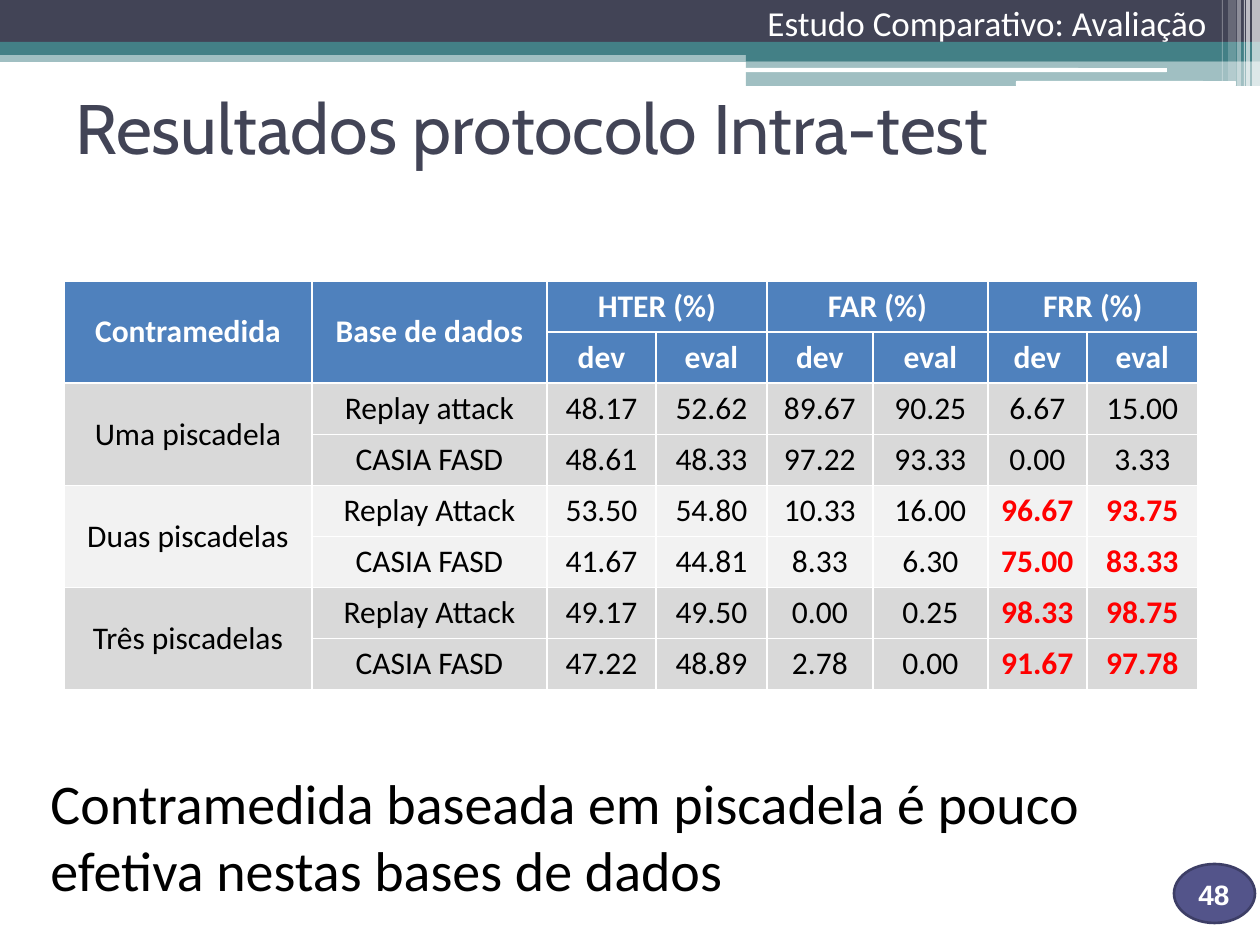
from dataclasses import dataclass

from lxml import etree
from pptx import Presentation
from pptx.dml.color import RGBColor
from pptx.enum.shapes import MSO_SHAPE
from pptx.enum.text import MSO_ANCHOR, MSO_AUTO_SIZE, PP_ALIGN
from pptx.oxml.ns import qn
from pptx.util import Emu, Pt

RECT, ROUND, OVAL = MSO_SHAPE.RECTANGLE, MSO_SHAPE.ROUNDED_RECTANGLE, MSO_SHAPE.OVAL
LEFT, CENTER, RIGHT = PP_ALIGN.LEFT, PP_ALIGN.CENTER, PP_ALIGN.RIGHT
TOP, MIDDLE = MSO_ANCHOR.TOP, MSO_ANCHOR.MIDDLE
GROW, FIXED = MSO_AUTO_SIZE.SHAPE_TO_FIT_TEXT, MSO_AUTO_SIZE.NONE

PX_PER_INCH = 126


def px(length):
    return Emu(round(length * 914400 / PX_PER_INCH))


@dataclass(frozen=True)
class Theme:
    navy: str = "424456"
    teal: str = "438086"
    white: str = "FFFFFF"
    black: str = "000000"
    badge: str = "53548A"
    badge_edge: str = "3D3E66"
    header: str = "4F81BD"
    dark_band: str = "D9D9D9"
    light_band: str = "F2F2F2"
    alert: str = "FF0000"
    body_font: str = "Calibri"
    title_font: str = "Cabin"
    number_font: str = "Arial"
    title_size: int = 40
    conclusion_size: int = 32
    section_size: int = 20
    table_size: int = 18
    number_size: int = 16


def write(frame, text, *, size, color, font, bold=False, align=LEFT):
    paragraph = frame.paragraphs[0]
    paragraph.alignment = align
    run = paragraph.add_run()
    run.text = text
    run.font.size = Pt(size)
    run.font.name = font
    run.font.bold = bold
    run.font.color.rgb = RGBColor.from_string(color)


class SlideBuilder:
    def __init__(self, slide, theme):
        self.slide = slide
        self.theme = theme

    def shape(self, kind, box, color, opacity=100, edge=None):
        shape = self.slide.shapes.add_shape(kind, *map(px, box))
        shape.shadow.inherit = False
        shape.fill.solid()
        shape.fill.fore_color.rgb = RGBColor.from_string(color)
        if opacity < 100:
            tint = shape.fill._xPr.find(f".//{qn('a:srgbClr')}")
            etree.SubElement(tint, qn("a:alpha"), val=str(opacity * 1000))
        if edge:
            shape.line.color.rgb = RGBColor.from_string(edge)
            shape.line.width = Pt(1.5)
        else:
            shape.line.fill.background()

    def text(self, box, text, *, wrap=True, fit=FIXED, anchor=TOP, **style):
        frame = self.slide.shapes.add_textbox(*map(px, box)).text_frame
        frame.word_wrap = wrap
        frame.auto_size = fit
        frame.vertical_anchor = anchor
        write(frame, text, **style)

    def table(self, left, top, widths, row_height, rows):
        size = (sum(widths), row_height * len(rows))
        table = self.slide.shapes.add_table(
            len(rows), len(widths), *map(px, (left, top, *size))).table
        for column, width in zip(table.columns, widths):
            column.width = px(width)
        for row in table.rows:
            row.height = px(row_height)
        for r, values in enumerate(rows):
            for c, value in enumerate(values):
                self.cell(table.cell(r, c), value, r, c)
        return table

    def cell(self, cell, value, row, column):
        theme = self.theme
        heading = row < 2
        # Blink-count groups take two rows each, in alternating bands
        band = theme.light_band if row // 2 % 2 == 0 else theme.dark_band
        high_frr = row >= 4 and column >= 6
        self.borders(cell)
        cell.fill.solid()
        cell.fill.fore_color.rgb = RGBColor.from_string(theme.header if heading else band)
        if value:
            color = theme.white if heading else theme.alert if high_frr else theme.black
            write(cell.text_frame, value, size=theme.table_size, color=color,
                  font=theme.body_font, bold=heading or high_frr, align=CENTER)

    def borders(self, cell):
        properties = cell._tc.get_or_add_tcPr()
        for side in ("lnL", "lnR", "lnT", "lnB"):
            line = etree.SubElement(properties, qn(f"a:{side}"), w=str(Pt(1)))
            fill = etree.SubElement(line, qn("a:solidFill"))
            etree.SubElement(fill, qn("a:srgbClr"), val=self.theme.white)


def draw_banner(builder):
    theme = builder.theme
    # Horizontal bands
    builder.shape(RECT, (0, 50, 1260, 12), theme.teal, 50)
    builder.shape(RECT, (0, 0, 1260, 42), theme.navy)
    builder.shape(RECT, (0, 42, 1260, 13), theme.teal)
    builder.shape(RECT, (746, 49, 514, 12), theme.teal)
    builder.shape(RECT, (746, 61, 514, 25), theme.teal, 50)
    # White rules
    builder.shape(ROUND, (745, 68, 422, 4), theme.white)
    builder.shape(ROUND, (1016, 81, 220, 5), theme.white)
    # Vertical stripes at the right edge
    stripes = [(1252, 8, 86, 65), (1246, 4, 86, 65), (1244, 1, 86, 60),
               (1237, 4, 86, 40), (1228, 8, 81, 20), (1222, 1, 81, 30)]
    for left, width, height, opacity in stripes:
        builder.shape(RECT, (left, 0, width, height), theme.white, opacity)


def draw_results(builder):
    rows = [
        ["Contramedida", "Base de dados", "HTER (%)", "", "FAR (%)", "", "FRR (%)", ""],
        ["", ""] + ["dev", "eval"] * 3,
        ["Uma piscadela", "Replay attack", "48.17", "52.62", "89.67", "90.25", "6.67", "15.00"],
        ["", "CASIA FASD", "48.61", "48.33", "97.22", "93.33", "0.00", "3.33"],
        ["Duas piscadelas", "Replay Attack", "53.50", "54.80", "10.33", "16.00", "96.67", "93.75"],
        ["", "CASIA FASD", "41.67", "44.81", "8.33", "6.30", "75.00", "83.33"],
        ["Três piscadelas", "Replay Attack", "49.17", "49.50", "0.00", "0.25", "98.33", "98.75"],
        ["", "CASIA FASD", "47.22", "48.89", "2.78", "0.00", "91.67", "97.78"],
    ]
    widths = [248, 235, 109, 111, 106, 115, 99, 111]
    results = builder.table(64, 281, widths, 51, rows)
    # Two-row labels, then two-column metric headings
    for row, column in [(0, 0), (0, 1), (2, 0), (4, 0), (6, 0)]:
        label = results.cell(row, column)
        label.merge(results.cell(row + 1, column))
        label.vertical_anchor = MIDDLE
    for column in (2, 4, 6):
        results.cell(0, column).merge(results.cell(0, column + 1))


def main():
    presentation = Presentation()
    presentation.slide_width, presentation.slide_height = px(1260), px(945)
    theme = Theme()
    builder = SlideBuilder(
        presentation.slides.add_slide(presentation.slide_layouts[6]), theme)

    draw_banner(builder)

    # Page number
    builder.shape(OVAL, (1174, 864, 81, 59), theme.badge, edge=theme.badge_edge)
    builder.text((1186, 871, 88, 50), "48", size=theme.number_size,
                 color=theme.white, font=theme.number_font, bold=True)

    # Title, results and conclusion
    builder.text((63, 53, 1134, 147), "Resultados protocolo Intra-test", anchor=MIDDLE,
                 size=theme.title_size, color=theme.navy, font=theme.title_font)
    draw_results(builder)
    builder.text((748, -5, 471, 55), "Estudo Comparativo: Avaliação", wrap=False, fit=GROW,
                 size=theme.section_size, color=theme.white, font=theme.body_font, align=RIGHT)
    builder.text((38, 762, 1176, 149),
                 "Contramedida baseada em piscadela é pouco efetiva nestas bases de dados",
                 fit=GROW, size=theme.conclusion_size, color=theme.black, font=theme.body_font)

    presentation.save("out.pptx")


if __name__ == "__main__":
    main()
